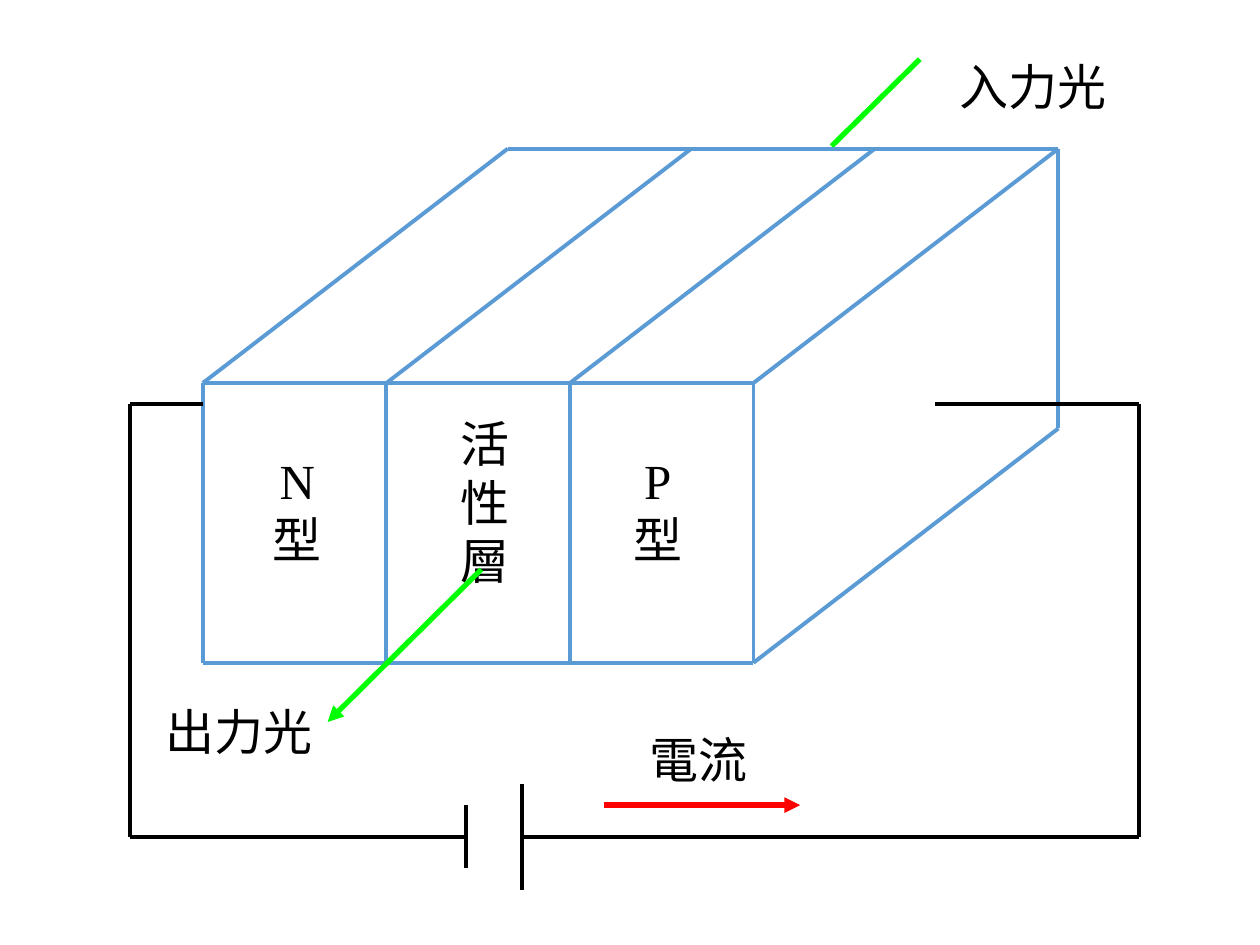
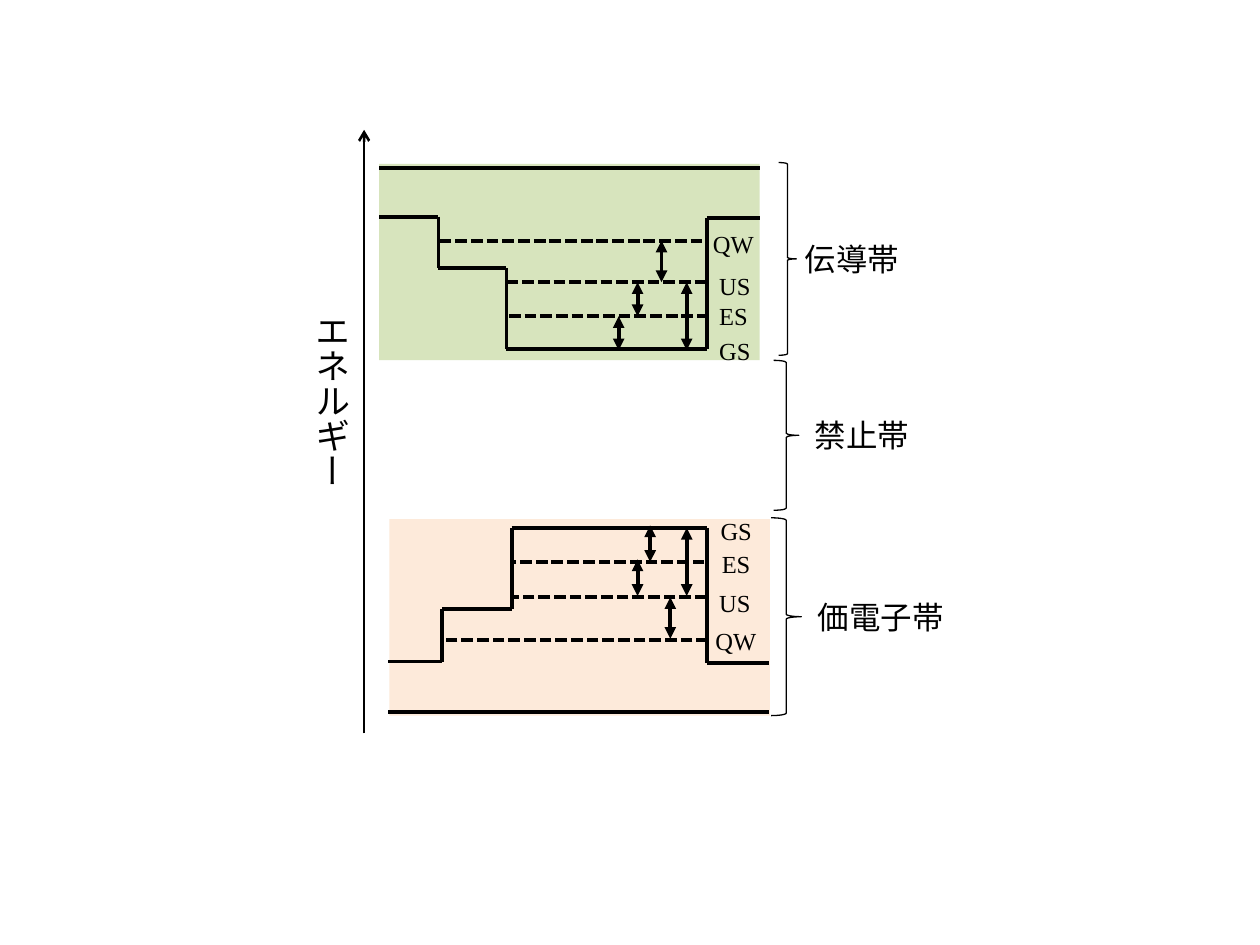
from dataclasses import dataclass
from itertools import pairwise

from lxml.etree import SubElement
from pptx import Presentation
from pptx.dml.color import RGBColor
from pptx.enum.dml import MSO_LINE
from pptx.enum.shapes import MSO_CONNECTOR, MSO_SHAPE
from pptx.enum.text import MSO_AUTO_SIZE, PP_ALIGN
from pptx.oxml.ns import qn
from pptx.util import Inches, Pt

COLUMNS, ROWS = 100, 75
CELL = Inches(10) // COLUMNS
BLACK = RGBColor(0x00, 0x00, 0x00)
CRYSTAL_BLUE = RGBColor(0x5B, 0x9B, 0xD5)
LIGHT_GREEN = RGBColor(0x00, 0xFF, 0x00)
CURRENT_RED = RGBColor(0xFF, 0x00, 0x00)
CONDUCTION_FILL = RGBColor(0xD7, 0xE4, 0xBD)
VALENCE_FILL = RGBColor(0xFD, 0xEA, 0xDA)
LATIN = "Times New Roman"
JAPANESE = "Noto Sans CJK JP"

CONDUCTION = {
    "edge": [(0, 0.3), (30.2, 0.3)],
    "well": [(0, 4.2), (4.7, 4.2), (4.7, 8.3), (10.1, 8.3),
             (10.1, 14.7), (26, 14.7), (26, 4.3), (30.2, 4.3)],
    "levels": [(4.8, 26, 6.1), (10.1, 26, 9.4), (10.3, 26, 12.1)],
    "transitions": [(22.4, 6.1, 9.4), (20.5, 9.4, 12.1),
                    (19, 12.1, 14.8), (24.4, 9.4, 14.8)],
    "names": [("QW", 25.5, 4.7, 5.3), ("US", 26, 8, 4.5),
              ("ES", 26, 10.4, 4.5), ("GS", 26, 13.2, 4.5)],
}
VALENCE = {
    "edge": [(30.1, 15.3), (-0.1, 15.3)],
    "well": [(-0.1, 11.3), (4.2, 11.3), (4.2, 7.1), (9.7, 7.1),
             (9.7, 0.7), (25.2, 0.7), (25.2, 11.4), (30.1, 11.4)],
    "levels": [(25.3, 4.1, 9.6), (25.2, 9.8, 6.2), (25, 9.8, 3.4)],
    "transitions": [(23.6, 0.7, 6.1), (22.3, 6.2, 9.5),
                    (20.7, 0.5, 3.4), (19.7, 3.2, 6.1)],
    "names": [("QW", 24.9, 8, 5.3), ("US", 25.2, 5, 4.5),
              ("ES", 25.4, 1.9, 4.5), ("GS", 25.3, -0.7, 4.5)],
}


@dataclass
class Box:
    """A region of the slide, measured in grid cells."""
    left: float
    top: float
    width: float
    height: float

    def inner(self, x, y, width, height):
        """Return a box placed relative to this one."""
        return Box(self.left + x, self.top + y, width, height)

    def point(self, x, y):
        """Return the slide position of a point in this box."""
        return round((self.left + x) * CELL), round((self.top + y) * CELL)

    def frame(self):
        """Return left, top, width and height as lengths."""
        return (*self.point(0, 0), round(self.width * CELL), round(self.height * CELL))


def draw_line(page, box, start, end, color=BLACK, weight=2.25,
              dashed=False, head=None, tail=None):
    """Draw a straight line between two points of the box."""
    connector = page.shapes.add_connector(
        MSO_CONNECTOR.STRAIGHT, *box.point(*start), *box.point(*end))
    connector.line.color.rgb = color
    connector.line.width = Pt(weight)
    if dashed:
        connector.line.dash_style = MSO_LINE.SQUARE_DOT
    outline = connector.line._get_or_add_ln()
    for tag, kind in (("a:headEnd", head), ("a:tailEnd", tail)):
        if kind:
            SubElement(outline, qn(tag), type=kind)
    SubElement(connector._element.spPr, qn("a:effectLst"))


def draw_path(page, box, points):
    """Join successive points with black lines."""
    for start, end in pairwise(points):
        draw_line(page, box, start, end)


def draw_shape(page, box, kind, fill=None):
    """Draw a filled shape, or a thin outlined one when there is no fill."""
    shape = page.shapes.add_shape(kind, *box.frame())
    shape.shadow.inherit = False
    if fill:
        shape.fill.solid()
        shape.fill.fore_color.rgb = fill
        shape.line.fill.background()
    else:
        shape.fill.background()
        shape.line.color.rgb = BLACK
        shape.line.width = Pt(0.75)


def write_text(page, box, runs, size, align=None, wrap=False, vertical=None, inset=None):
    """Write runs of (text, font) in one paragraph."""
    label = page.shapes.add_textbox(*box.frame())
    frame = label.text_frame
    frame.word_wrap = wrap
    frame.auto_size = MSO_AUTO_SIZE.SHAPE_TO_FIT_TEXT
    if vertical:
        frame._txBody.bodyPr.set("vert", vertical)
    if inset is not None:
        frame.margin_left = frame.margin_right = inset
        frame.margin_top = frame.margin_bottom = inset
    para = frame.paragraphs[0]
    para.alignment = align
    for text, font in runs:
        span = para.add_run()
        span.text = text
        span.font.size = Pt(size)
        span.font.color.rgb = BLACK
        span.font.name = font
        SubElement(span.font._element, qn("a:ea"), typeface=font)


def draw_crystal(page, box):
    """Draw the three-layer block and name its layers."""
    front_width, front_top = 43.7, 18.6
    shift = box.width - front_width
    layer = front_width / 3
    for index in range(4):
        x = index * layer
        draw_line(page, box, (x + shift, 0), (x, front_top), CRYSTAL_BLUE)
        draw_line(page, box, (x, front_top), (x, box.height), CRYSTAL_BLUE)
    side_bottom = box.height - front_top
    for start, end in (
            ((box.width, side_bottom), (front_width, box.height)),
            ((box.width, 0), (box.width, side_bottom)),
            ((0, box.height), (front_width, box.height)),
            ((shift, 0), (box.width, 0)),
            ((0, front_top), (front_width, front_top))):
        draw_line(page, box, start, end, CRYSTAL_BLUE)
    for x, y, height, runs in (
            (32.2, 23.5, 11.9, [("P", LATIN), ("型", JAPANESE)]),
            (3.6, 23.5, 11.9, [("N", LATIN), ("型", JAPANESE)]),
            (18.5, 20.5, 18.5, [("活性層", JAPANESE)])):
        write_text(page, box.inner(x, y, 7.8, height), runs, 28,
                   PP_ALIGN.CENTER, vertical="wordArtVertRtl")


def draw_circuit(page, box):
    """Draw the wires, the battery and the current arrow."""
    short_plate, long_plate = 26.7, 31.1
    for x, half in ((short_plate, 2.5), (long_plate, 4.2)):
        draw_line(page, box, (x, box.height - half), (x, box.height + half))
    draw_path(page, box, [(5.8, 0), (0, 0), (0, box.height), (short_plate, box.height)])
    draw_path(page, box, [(63.9, 0), (box.width, 0),
                          (box.width, box.height), (long_plate, box.height)])
    draw_line(page, box, (37.6, 31.8), (53.2, 31.8), CURRENT_RED, 3, tail="triangle")


def build_amplifier(page, box):
    """Build the slide of the optical amplifier."""
    draw_line(page, box, (73, 4.7), (66, 11.6), LIGHT_GREEN, 3)
    draw_crystal(page, box.inner(16.1, 11.8, 67.9, 40.8))
    draw_circuit(page, box.inner(10.3, 32.1, 80.1, 34.3))
    draw_line(page, box, (38.2, 45.2), (26, 57.3), LIGHT_GREEN, 3, tail="triangle")
    for text, x, y in (("電流", 47.7, 57.4), ("入力光", 74.2, 4), ("出力光", 11.2, 55.2)):
        write_text(page, box.inner(x, y, 15.5, 5.7), [(text, JAPANESE)], 28,
                   PP_ALIGN.CENTER, wrap=True)


def draw_band(page, box, fill, band):
    """Draw one energy band with its well, levels and transitions."""
    draw_shape(page, box, MSO_SHAPE.RECTANGLE, fill)
    draw_path(page, box, band["edge"])
    draw_path(page, box, band["well"])
    for start, end, y in band["levels"]:
        draw_line(page, box, (start, y), (end, y), dashed=True)
    for x, top, bottom in band["transitions"]:
        draw_line(page, box, (x, top), (x, bottom), head="triangle", tail="triangle")
    for name, x, y, width in band["names"]:
        write_text(page, box.inner(x, y, width, 3.4), [(name, LATIN)], 14)


def draw_bracket(page, box, text, gap, text_width):
    """Draw a brace with its name centred beside it."""
    draw_shape(page, box, MSO_SHAPE.RIGHT_BRACE)
    text_height = 4
    label = box.inner(box.width + gap, (box.height - text_height) / 2,
                      text_width, text_height)
    write_text(page, label, [(text, JAPANESE)], 18)


def build_band_diagram(page, box):
    """Build the slide of the energy bands."""
    draw_band(page, box.inner(30.1, 13, 30.2, 15.6), CONDUCTION_FILL, CONDUCTION)
    draw_band(page, box.inner(30.9, 41.2, 30.2, 15.6), VALENCE_FILL, VALENCE)
    draw_line(page, box, (28.9, 58.2), (28.9, 10.3), weight=1.5, tail="arrow")
    draw_bracket(page, box.inner(61.8, 12.9, 1.4, 15.3), "伝導帯", -0.3, 9.6)
    draw_bracket(page, box.inner(61.4, 28.6, 2, 11.9), "禁止帯", 0.3, 9.6)
    draw_bracket(page, box.inner(61.2, 41.1, 2.4, 15.7), "価電子帯", 0.3, 12.1)
    write_text(page, box.inner(24.6, 24.9, 3.4, 17.3), [("エネルギー", JAPANESE)], 20,
               PP_ALIGN.CENTER, wrap=True, vertical="eaVert", inset=0)


def main():
    """Build and save the deck."""
    deck = Presentation()
    deck.slide_width, deck.slide_height = COLUMNS * CELL, ROWS * CELL
    blank = deck.slide_layouts[6]
    for build in (build_amplifier, build_band_diagram):
        build(deck.slides.add_slide(blank), Box(0, 0, COLUMNS, ROWS))
    deck.save("out.pptx")


if __name__ == "__main__":
    main()
